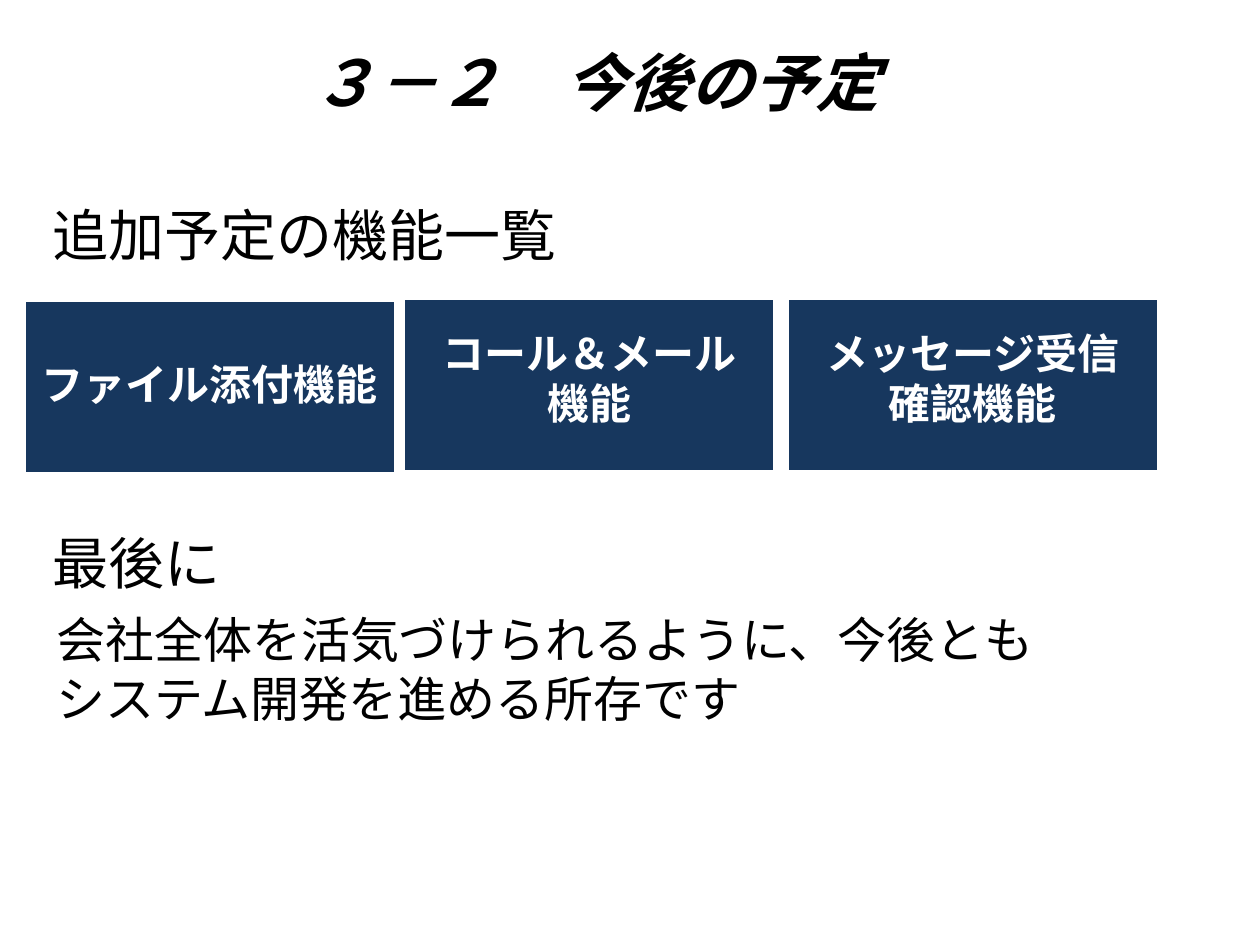
import pptx
import pptx.util
import pptx.dml.color
import pptx.enum.shapes
import pptx.enum.text

Cm = pptx.util.Cm
Pt = pptx.util.Pt
RGBColor = pptx.dml.color.RGBColor
ALIGN = pptx.enum.text.PP_ALIGN
MIDDLE = pptx.enum.text.MSO_ANCHOR.MIDDLE

NAVY = RGBColor(0x17, 0x37, 0x5E)
WHITE = RGBColor(0xFF, 0xFF, 0xFF)
BLACK = RGBColor(0x00, 0x00, 0x00)


def write(frame, lines, size, face, color, align=ALIGN.LEFT, bold=False):
    """Fill a text frame with one paragraph per line and return the paragraphs."""
    frame.word_wrap = True
    frame.text = "\n".join(lines)
    for para in frame.paragraphs:
        para.alignment = align
        font = para.font
        font.size, font.name, font.bold = Pt(size), face, bold
        font.color.rgb = color
    return frame.paragraphs


def add_title(slide, left, top, width, height, text):
    """Place the centred slide title."""
    frame = slide.shapes.add_textbox(left, top, width, height).text_frame
    frame.vertical_anchor = MIDDLE
    para, = write(frame, [text], 36, "Calibri", BLACK, ALIGN.CENTER, True)
    para.font.italic = True


def add_text(slide, left, top, width, height, lines, size):
    """Place a heading or a body text."""
    frame = slide.shapes.add_textbox(left, top, width, height).text_frame
    write(frame, lines, size, "Arial", BLACK)


def add_tile(slide, left, top, width, height, lines):
    """Place one navy tile that names a feature."""
    tile = slide.shapes.add_shape(
        pptx.enum.shapes.MSO_SHAPE.RECTANGLE, left, top, width, height)
    tile.shadow.inherit = False
    tile.fill.solid()
    tile.fill.fore_color.rgb = NAVY
    tile.line.color.rgb = WHITE
    tile.line.width = Pt(2)
    frame = tile.text_frame
    frame.vertical_anchor = MIDDLE
    frame.margin_top = frame.margin_bottom = Cm(0.25)
    for para in write(frame, lines, 24, "Calibri", WHITE, ALIGN.CENTER, True):
        para.line_spacing = Pt(20) if len(lines) > 1 else 0.9
        para.space_after = Pt(8.4)


def add_tiles(slide, left, top, width, height):
    """Place the row of feature tiles inside its box."""
    tiles = [
        (0, 0.03, ["ファイル添付機能"]),
        (7.65, 0, ["コール＆メール", "機能"]),
        (15.39, 0, ["メッセージ受信", "確認機能"]),
    ]
    wide = width - Cm(tiles[-1][0])
    for across, down, lines in tiles:
        add_tile(slide, left + Cm(across), top + Cm(down), wide, height, lines)


def main():
    """Build the slide and save it."""
    deck = pptx.Presentation()
    deck.slide_width, deck.slide_height = Cm(25.4), Cm(19.05)
    slide = deck.slides.add_slide(deck.slide_layouts[6])
    add_title(slide, Cm(0), Cm(0.53), Cm(24), Cm(2.2), "３－２　今後の予定")
    add_text(slide, Cm(0.81), Cm(3.91), Cm(16.3), Cm(1.63),
             ["追加予定の機能一覧"], 32)
    add_tiles(slide, Cm(0.48), Cm(6.02), Cm(22.88), Cm(3.5))
    add_text(slide, Cm(0.89), Cm(12.17), Cm(20.8), Cm(2.64),
             ["会社全体を活気づけられるように、今後とも",
              "システム開発を進める所存です"], 28)
    add_text(slide, Cm(0.81), Cm(10.52), Cm(16.3), Cm(1.63), ["最後に"], 32)
    deck.save("out.pptx")


if __name__ == "__main__":
    main()
